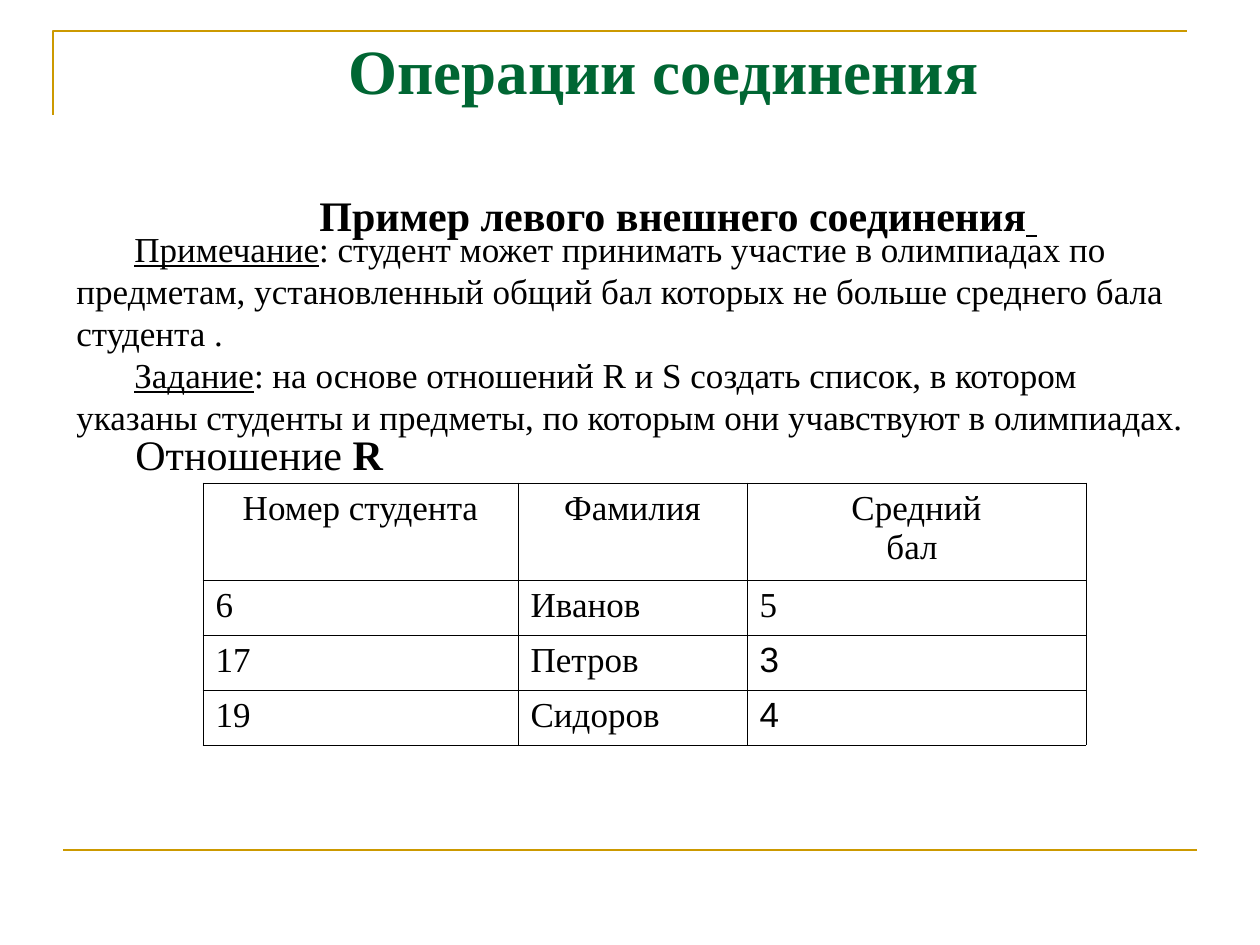
import pptx
import pptx.util
import pptx.dml.color
import pptx.enum.shapes
import pptx.enum.text
import pptx.oxml
import pptx.oxml.ns
from dataclasses import dataclass

ALIGN = pptx.enum.text.PP_ALIGN
PX = 914400 / 126


@dataclass(frozen=True)
class Theme:
    serif: str = "Times New Roman"
    sans: str = "Arial"
    black: str = "000000"
    green: str = "006633"
    gold: str = "CC9900"
    title: int = 36
    heading: int = 24
    body: int = 20
    rule: float = 1.5
    border: float = 0.45


THEME = Theme()
HEADER = ["Номер студента", "Фамилия", "Средний\nбал "]
STUDENTS = [["6", "Иванов ", "5"], ["17", "Петров", "3"], ["19", "Сидоров", "4"]]
COLUMN_WIDTHS = [315, 229, 339]
ROW_HEIGHTS = [97, 55, 55, 55]


def px(n):
    return pptx.util.Emu(round(n * PX))


def rgb(value):
    return pptx.dml.color.RGBColor.from_string(value)


def add_run(p, text, size, color=THEME.black, name=THEME.serif, **flags):
    r = p.add_run()
    r.text = text
    r.font.color.rgb = rgb(color)
    formats = {"size": pptx.util.Pt(size), "name": name, **flags}
    for key, value in formats.items():
        setattr(r.font, key, value)


def format_paragraph(p, margin=0, first_line=0, **formats):
    pPr = p._p.get_or_add_pPr()
    pPr.set("marL", str(px(margin)))
    pPr.set("indent", str(px(first_line)))
    for key, value in formats.items():
        setattr(p, key, value)


def add_text_box(slide, x, y, w, h):
    tf = slide.shapes.add_textbox(px(x), px(y), px(w), px(h)).text_frame
    tf.word_wrap = True
    tf.vertical_anchor = pptx.enum.text.MSO_ANCHOR.MIDDLE
    return tf


def style_line(sp):
    sp.line.color.rgb = rgb(THEME.gold)
    sp.line.width = pptx.util.Pt(THEME.rule)


def add_frame(slide):
    builder = slide.shapes.build_freeform(53, 115, scale=PX)
    builder.add_line_segments([(53, 31), (1187, 31)], close=False)
    corner = builder.convert_to_shape()
    corner.shadow.inherit = False
    corner.fill.background()
    style_line(corner)
    rule = slide.shapes.add_connector(
        pptx.enum.shapes.MSO_CONNECTOR.STRAIGHT, px(63), px(850), px(1197), px(850))
    style_line(rule)
    rule._element.spPr.append(pptx.oxml.parse_xml(
        f"<a:effectLst {pptx.oxml.ns.nsdecls('a')}/>"))


def add_title(slide):
    tf = add_text_box(slide, 174, 24, 963, 223)
    p = tf.paragraphs[0]
    format_paragraph(p, margin=16, alignment=ALIGN.CENTER)
    add_run(p, "Операции соединения", THEME.title, THEME.green, bold=True)
    p = tf.add_paragraph()
    format_paragraph(p, first_line=133, space_before=pptx.util.Pt(47))
    add_run(p, "Пример левого внешнего соединения", THEME.heading, bold=True)
    add_run(p, " ", THEME.heading, bold=True, underline=True)


def add_notes_text(slide):
    tf = add_text_box(slide, 64, 221, 1150, 223)
    notes = [
        ("Примечание", ": студент может принимать участие в олимпиадах по предметам, "
                       "установленный общий бал которых не больше среднего бала студента ."),
        ("Задание", ": на основе отношений R и S создать список, в котором указаны "
                    "студенты и предметы, по которым они учавствуют в олимпиадах."),
    ]
    for i, (label, text) in enumerate(notes):
        p = tf.add_paragraph() if i else tf.paragraphs[0]
        format_paragraph(p, first_line=58, line_spacing=pptx.util.Pt(24))
        add_run(p, label, THEME.body, underline=True)
        add_run(p, text, THEME.body)


def add_table_caption(slide):
    p = add_text_box(slide, 123, 422, 381, 63).paragraphs[0]
    add_run(p, "Отношение ", THEME.heading)
    add_run(p, "R", THEME.heading, bold=True)


def add_borders(cell):
    tcPr = cell._tc.get_or_add_tcPr()
    width = pptx.util.Pt(THEME.border)
    for i, side in enumerate(("lnL", "lnR", "lnT", "lnB")):
        tcPr.insert(i, pptx.oxml.parse_xml(
            f'<a:{side} {pptx.oxml.ns.nsdecls("a")} w="{width}"><a:solidFill>'
            f'<a:srgbClr val="{THEME.black}"/></a:solidFill></a:{side}>'))


def fill_cell(cell, text, alignment, name):
    cell.fill.background()
    add_borders(cell)
    for i, line in enumerate(text.split("\n")):
        tf = cell.text_frame
        p = tf.add_paragraph() if i else tf.paragraphs[0]
        p.alignment = alignment
        add_run(p, line, THEME.body, name=name)


def add_students_table(slide):
    rows = [HEADER, *STUDENTS]
    table = slide.shapes.add_table(
        len(rows), len(HEADER), px(203), px(483),
        px(sum(COLUMN_WIDTHS)), px(sum(ROW_HEIGHTS))).table
    table.horz_banding = False
    for column, width in zip(table.columns, COLUMN_WIDTHS):
        column.width = px(width)
    for row, height in zip(table.rows, ROW_HEIGHTS):
        row.height = px(height)
    for i, values in enumerate(rows):
        for j, text in enumerate(values):
            alignment = ALIGN.JUSTIFY if i else ALIGN.CENTER
            name = THEME.sans if text in ("3", "4") else THEME.serif
            fill_cell(table.cell(i, j), text, alignment, name)


def main():
    prs = pptx.Presentation()
    prs.slide_width, prs.slide_height = px(1260), px(945)
    slide = prs.slides.add_slide(prs.slide_layouts[6])
    add_frame(slide)
    add_students_table(slide)
    add_notes_text(slide)
    add_title(slide)
    add_table_caption(slide)
    prs.save("out.pptx")


if __name__ == "__main__":
    main()
